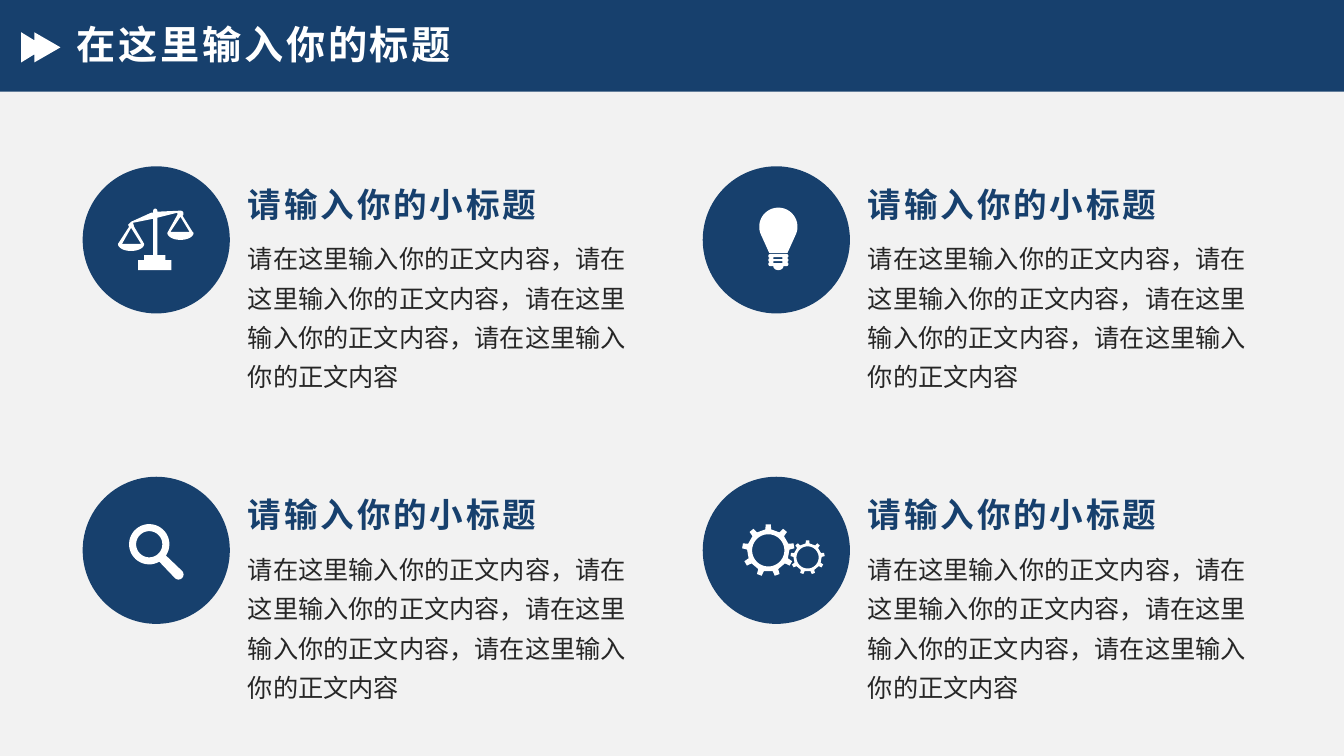
from math import cos, radians, sin

from pptx import Presentation
from pptx.dml.color import RGBColor
from pptx.enum.shapes import MSO_SHAPE
from pptx.enum.text import MSO_ANCHOR
from pptx.oxml.ns import qn
from pptx.util import Inches, Pt
from lxml import etree

RECT, OVAL = MSO_SHAPE.RECTANGLE, MSO_SHAPE.OVAL
TOP, MIDDLE = MSO_ANCHOR.TOP, MSO_ANCHOR.MIDDLE
NAVY, WHITE, INK, PAPER = "17406D", "FFFFFF", "262626", "F2F2F2"
WIDTH, HEIGHT = 13.33, 7.5
LEFT, ROW_TOP = 0.82, 1.65
COL_STEP, ROW_STEP = 6.15, 3.08
DISC = 1.46
TITLE = "在这里输入你的标题"
SUBTITLE = "请输入你的小标题"
BODY = "，".join(["请在这里输入你的正文内容"] * 4)


def rgb(value):
    return RGBColor.from_string(value)


def paint(sp, color):
    sp.shadow.inherit = False
    sp.fill.solid()
    sp.fill.fore_color.rgb = rgb(color)
    sp.line.fill.background()


def add_block(s, kind, x, y, w, h, color):
    sp = s.shapes.add_shape(kind, Inches(x), Inches(y), Inches(w), Inches(h))
    paint(sp, color)


def add_text(s, x, y, w, h, text, size, color, bold=False, spacing=1.0, anchor=TOP):
    sp = s.shapes.add_textbox(Inches(x), Inches(y), Inches(w), Inches(h))
    tf = sp.text_frame
    tf.word_wrap = True
    tf.vertical_anchor = anchor
    p = tf.paragraphs[0]
    p.text = text
    p.line_spacing = spacing
    r = p.runs[0]
    r.font.name = "Arial"
    r.font.size = Pt(size)
    r.font.bold = bold
    r.font.color.rgb = rgb(color)
    rPr = r.font._element
    etree.SubElement(rPr, qn("a:ea")).set("typeface", "Arial")
    if bold:
        rPr.set("spc", "200")


def add_outline(s, cx, cy, contours, color=WHITE):
    placed = [[(Inches(cx + x), Inches(cy + y)) for x, y in c] for c in contours]
    builder = s.shapes.build_freeform(*placed[0][0], scale=1.0)
    builder.add_line_segments(placed[0][1:], close=True)
    for contour in placed[1:]:
        builder.move_to(*contour[0])
        builder.add_line_segments(contour[1:], close=True)
    paint(builder.convert_to_shape(), color)


def arc(cx, cy, rx, ry, start, end):
    steps = max(6, abs(end - start) // 8)
    angles = [radians(start + (end - start) * i / steps) for i in range(steps + 1)]
    return [(cx + rx * cos(a), cy + ry * sin(a)) for a in angles]


def circle(cx, cy, radius):
    return arc(cx, cy, radius, radius, 360, 0)


def scales():
    outline = [
        *arc(-0.01, -0.29, 0.02, 0.02, 180, 360), (0.01, -0.28),
        *arc(0.24, -0.26, 0.03, 0.03, -90, 45), (0.36, -0.08),
        *arc(0.24, -0.07, 0.13, 0.07, 0, 180), (0.21, -0.25), (0.21, -0.27),
        (0.01, -0.22), (0.01, 0.15), (0.09, 0.15), (0.09, 0.2), (0.15, 0.2),
        (0.15, 0.3), (-0.18, 0.3), (-0.18, 0.2), (-0.12, 0.2), (-0.12, 0.15),
        (-0.03, 0.15), (-0.03, -0.21), (-0.23, -0.17), (-0.22, -0.13),
        *arc(-0.25, 0.04, 0.13, 0.07, 0, 180), (-0.27, -0.13), (-0.28, -0.15),
        (-0.25, -0.18), (-0.05, -0.27), (-0.03, -0.27),
    ]
    left_gap = [(-0.25, -0.12), (-0.34, 0.04), (-0.15, 0.04)]
    right_gap = [(0.24, -0.23), (0.14, -0.08), (0.33, -0.08)]
    return [outline, left_gap, right_gap]


def bulb():
    glass = arc(0.02, -0.13, 0.19, 0.19, 160, 380) + [(0.11, 0.13), (-0.07, 0.13)]
    rings = [0.16, 0.2, 0.24]
    base = []
    for y in rings:
        base += arc(0.1, y, 0.02, 0.02, -90, 90)
    base += arc(0.02, 0.26, 0.05, 0.04, 0, 180)
    for y in reversed(rings):
        base += arc(-0.06, y, 0.02, 0.02, 90, 270)
    slots = [[(-0.03, y), (-0.03, y + 0.02), (0.06, y + 0.02), (0.06, y)]
             for y in (0.17, 0.21)]
    return [glass, base, *slots]


def magnifier():
    outline = arc(-0.07, -0.06, 0.2, 0.2, 60, 394)
    outline += arc(0.22, 0.24, 0.05, 0.05, -45, 135)
    return [outline, circle(-0.07, -0.06, 0.13)]


def gear(cx, cy, tip, root, hole, teeth=9):
    outline = []
    for i in range(teeth):
        middle = 360 * i / teeth - 90
        for offset, radius in ((-8, root), (-5.5, tip), (5.5, tip), (8, root)):
            a = radians(middle + offset)
            outline.append((cx + radius * cos(a), cy + radius * sin(a)))
    return [outline, circle(cx, cy, hole)]


def gears():
    return gear(-0.08, 0, 0.26, 0.21, 0.16) + gear(0.31, 0.07, 0.17, 0.14, 0.11)


def add_header(s):
    add_block(s, RECT, 0, 0, WIDTH, 0.91, NAVY)
    arrows = [(0, -0.15), (0.13, -0.07), (0.13, -0.15), (0.39, 0),
              (0.13, 0.15), (0.13, 0.07), (0, 0.15)]
    add_outline(s, 0.21, 0.47, [arrows])
    add_text(s, 0.66, 0.23, 11.5, 0.46, TITLE, 28, WHITE, True, 0.9, MIDDLE)


def add_topic(s, col, row, icon):
    x, y = LEFT + col * COL_STEP, ROW_TOP + row * ROW_STEP
    add_block(s, OVAL, x, y, DISC, DISC, NAVY)
    add_outline(s, x + DISC / 2, y + DISC / 2, icon)
    add_text(s, x + 1.54, y + 0.17, 4.61, 0.43, SUBTITLE, 24, NAVY, True, 0.9)
    add_text(s, x + 1.54, y + 0.63, 4.13, 0.4, BODY, 18, INK, spacing=1.3)


def main():
    prs = Presentation()
    prs.slide_width, prs.slide_height = Inches(WIDTH), Inches(HEIGHT)
    s = prs.slides.add_slide(prs.slide_layouts[6])
    s.background.fill.solid()
    s.background.fill.fore_color.rgb = rgb(PAPER)
    add_header(s)
    for i, icon in enumerate((scales(), bulb(), magnifier(), gears())):
        add_topic(s, i % 2, i // 2, icon)
    prs.save("out.pptx")


if __name__ == "__main__":
    main()
